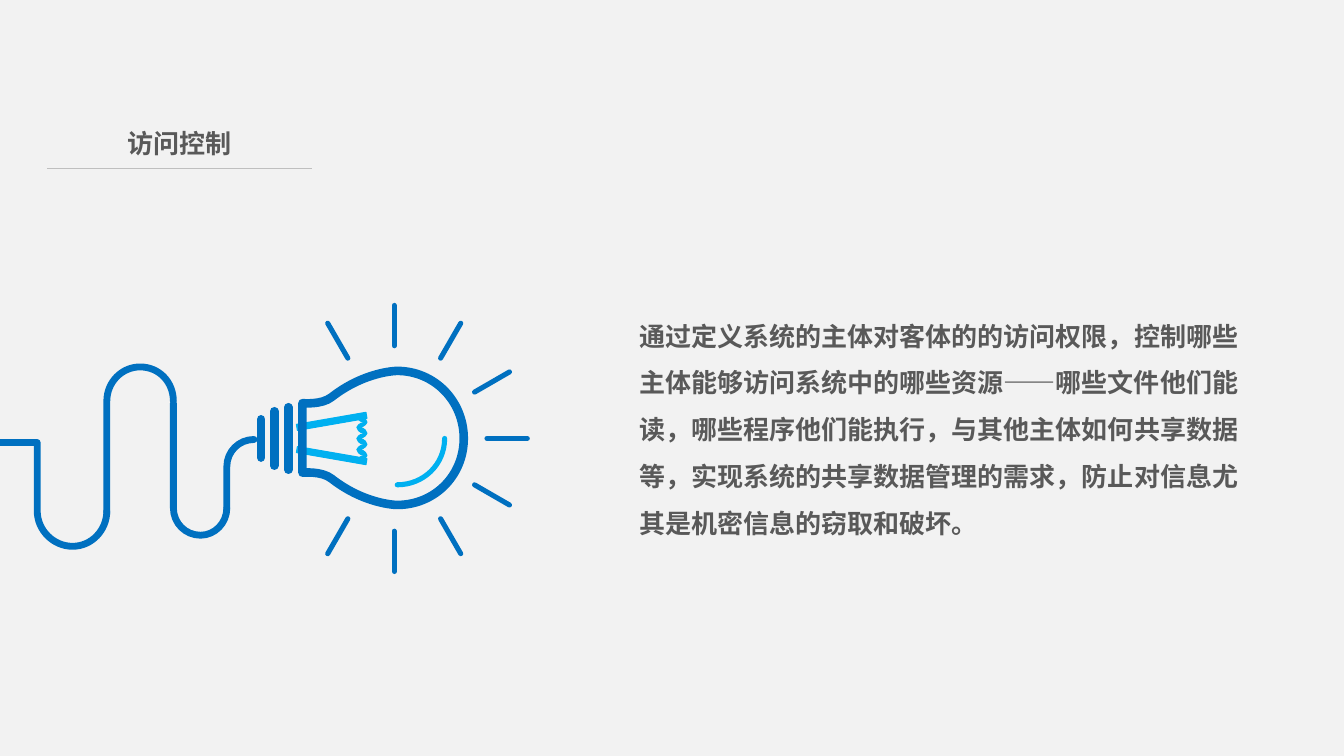
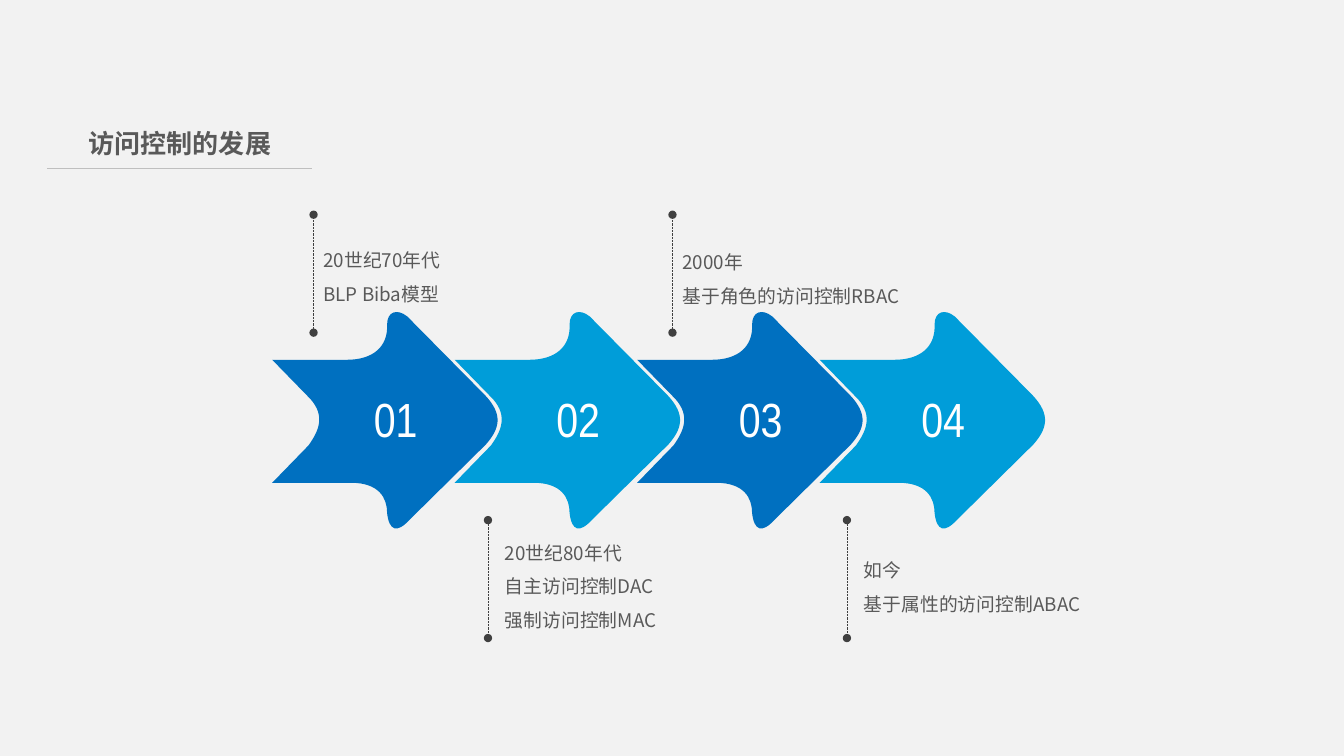
"""Build two slides on access control: its definition and its history."""
from math import cos, radians, sin

from pptx import Presentation
from pptx.dml.color import RGBColor
from pptx.enum.dml import MSO_LINE
from pptx.enum.shapes import MSO_CONNECTOR, MSO_SHAPE
from pptx.enum.text import MSO_ANCHOR, MSO_AUTO_SIZE, PP_ALIGN
from pptx.oxml.ns import qn
from pptx.util import Inches, Pt

STRAIGHT = MSO_CONNECTOR.STRAIGHT
RECT = MSO_SHAPE.RECTANGLE
DOTTED = MSO_LINE.ROUND_DOT
TOP = MSO_ANCHOR.TOP
FIXED = MSO_AUTO_SIZE.NONE
LEFT, CENTER = PP_ALIGN.LEFT, PP_ALIGN.CENTER
SANS, NARROW = "Noto Sans CJK SC", "Arial Narrow"
HEX = {"page": "F2F2F2", "text": "595959", "rule": "BFBFBF", "dot": "404040",
       "blue": "0070C0", "sky": "009DD9", "glow": "00B0F0", "white": "FFFFFF"}
COLOR = {name: RGBColor.from_string(code) for name, code in HEX.items()}


def link(shapes, start, end, color, width):
    """Draw a straight line and return it with its line element."""
    line = shapes.add_connector(STRAIGHT, *map(Inches, start + end))
    line.line.color.rgb = COLOR[color]
    line.line.width = Pt(width)
    props = line.element.spPr
    props.append(props.makeelement(qn("a:effectLst"), {}))
    return line, props.find(qn("a:ln"))


def trace(shapes, steps, fill=None, color=None, width=0, close=False):
    """Draw an outline whose steps are points or six-number Bezier curves."""
    points = [(Inches(step[k]), Inches(step[k + 1]))
              for step in steps for k in range(0, len(step), 2)]
    pen = shapes.build_freeform(*points[0])
    pen.add_line_segments(points[1:], close=close)
    shape = pen.convert_to_shape()
    lines = iter(list(shape.element.iter(qn("a:lnTo"))))
    for step in steps[1:]:
        first = next(lines)
        if len(step) == 6:
            curve = first.makeelement(qn("a:cubicBezTo"), {})
            first.addprevious(curve)
            for line in (first, next(lines), next(lines)):
                curve.append(line[0])
                line.getparent().remove(line)
    shape.shadow.inherit = False
    if fill:
        shape.fill.solid()
        shape.fill.fore_color.rgb = COLOR[fill]
    else:
        shape.fill.background()
    if color:
        shape.line.color.rgb = COLOR[color]
        shape.line.width = Pt(width)
        shape.element.spPr.find(qn("a:ln")).set("cap", "rnd")
    else:
        shape.line.fill.background()
    return shape


prs = Presentation()
prs.slide_width, prs.slide_height = Inches(13.33), Inches(7.5)

texts = []
slides = []
for name, layout, left, wide in (("访问控制", 1, 0.89, 1.78),
                                 ("访问控制的发展", 5, 0.75, 2.07)):
    slide = prs.slides.add_slide(prs.slide_layouts[layout])
    link(slide.shapes, (0.47, 1.67), (3.09, 1.67), "rule", 0.5)
    title = slide.shapes.title
    title.left, title.top = Inches(left), Inches(1.21)
    title.width, title.height = Inches(wide), Inches(0.42)
    frame = title.text_frame
    frame.text = name
    frame.margin_left = frame.margin_right = 0
    texts.append((frame, SANS, 18.6, "text", True, CENTER, 1, True))
    slides.append(slide)
intro, history = slides

page = intro.shapes.add_shape(RECT, 0, 0, prs.slide_width, prs.slide_height)
page.shadow.inherit = False
page.fill.solid()
page.fill.fore_color.rgb = COLOR["page"]
page.line.fill.background()
prs.slide_master.shapes.element.insert(2, page.element)

lamp = intro.shapes.add_group_shape().shapes
hub_x, hub_y = 3.91, 4.35
for angle in range(-120, 121, 30):
    dx, dy = cos(radians(angle)), sin(radians(angle))
    ray, ln = link(lamp, (hub_x + 0.92 * dx, hub_y + 0.92 * dy),
                   (hub_x + 1.32 * dx, hub_y + 1.32 * dy), "blue", 3.63)
    ln.set("cap", "rnd")

trace(lamp, [(3.94, 4.81), (4.2, 4.81, 4.41, 4.61, 4.41, 4.35)],
      color="glow", width=3.63)
for side in (1, -1):
    arm = [(2.94, 0.14), (2.95, 0.08), (3.64, 0.2), (3.63, 0.26)]
    trace(lamp, [(x, hub_y + side * y) for x, y in arm],
          "glow", "glow", 0.75, True)
wave = [(3.54, 4.57)]
for i in range(4):
    y = 4.57 - 0.11 * i
    wave += [(3.54, y - 0.02, 3.57, y - 0.03, 3.58, y - 0.04),
             (3.59, y - 0.04, 3.61, y - 0.05, 3.61, y - 0.05),
             (3.61, y - 0.06, 3.59, y - 0.06, 3.58, y - 0.06),
             (3.57, y - 0.07, 3.54, y - 0.08, 3.54, y - 0.11)]
wave.append((3.57, 4.13))
for i in range(4):
    y = 4.13 + 0.11 * i
    wave += [(3.57, y, 3.59, y + 0.01, 3.6, y + 0.01),
             (3.61, y + 0.02, 3.64, y + 0.03, 3.64, y + 0.06),
             (3.64, y + 0.08, 3.61, y + 0.09, 3.6, y + 0.1),
             (3.59, y + 0.1, 3.57, y + 0.11, 3.57, y + 0.11)]
trace(lamp, wave, "glow", "glow", 0.75, True)
bulb = [(3.94, 3.68), (4.31, 3.68, 4.6, 3.98, 4.6, 4.35),
        (4.6, 4.72, 4.31, 5.01, 3.94, 5.01),
        (3.92, 5.01, 3.61, 5, 3.29, 4.75), (3.19, 4.67, 3, 4.69, 3, 4.69),
        (3, 4), (3, 4, 3.19, 4.02, 3.29, 3.94),
        (3.61, 3.69, 3.92, 3.68, 3.94, 3.68)]
trace(lamp, bulb, color="blue", width=6.13, close=True)
for x, half in ((2.86, 0.31), (2.72, 0.27), (2.59, 0.19)):
    bar, ln = link(lamp, (x, hub_y - half), (x, hub_y + half), "blue", 6.13)
    ln.set("cap", "rnd")
cable = [
    [(2.25, 5.04), (2.25, 5.19, 2.13, 5.31, 1.99, 5.31),
     (1.84, 5.31, 1.72, 5.19, 1.72, 5.04), (1.72, 4)],
    [(1.06, 5.07), (1.06, 5.26, 0.91, 5.42, 0.72, 5.42),
     (0.53, 5.42, 0.37, 5.26, 0.37, 5.07), (0.37, 4.39), (0, 4.39)],
    [(1.06, 5.09), (1.06, 3.98), (1.06, 3.79, 1.21, 3.64, 1.39, 3.64),
     (1.58, 3.64, 1.72, 3.79, 1.72, 3.98)],
    [(2.25, 5.04), (2.25, 4.63), (2.25, 4.48, 2.37, 4.36, 2.52, 4.36)]]
for piece in cable:
    trace(lamp, piece, color="blue", width=4.88)

body = intro.placeholders[1]
body.left, body.top = Inches(6.24), Inches(2.97)
body.width, body.height = Inches(6.38), Inches(2.4)
body.text_frame.text = (
    "通过定义系统的主体对客体的的访问权限，控制哪些主体能够访问系统中的哪些资源"
    "——哪些文件他们能读，哪些程序他们能执行，与其他主体如何共享数据等，"
    "实现系统的共享数据管理的需求，防止对信息尤其是机密信息的窃取和破坏。")
props = body.text_frame.paragraphs[0]._p.get_or_add_pPr()
props.set("marL", "0")
props.set("indent", "0")
props.append(props.makeelement(qn("a:buNone"), {}))
texts.append((body.text_frame, SANS, 18.6, "text", True, LEFT, 1.5, True))

arrow = [(0, 3.57), (0.74, 3.57), (1, 3.57, 1.15, 3.44, 1.14, 3.22),
         (1.14, 3.09, 1.24, 3.06, 1.34, 3.14), (2.11, 3.92),
         (2.3, 4.12, 2.25, 4.26, 2.12, 4.41), (1.36, 5.16),
         (1.24, 5.29, 1.16, 5.27, 1.14, 5.09),
         (1.14, 4.94, 1.06, 4.79, 0.78, 4.79), (0, 4.79), (0.36, 4.42),
         (0.46, 4.28, 0.53, 4.13, 0.38, 3.96)]
for i in reversed(range(4)):
    left = 2.7 + 1.81 * i
    color = ("blue", "sky")[i % 2]
    group = history.shapes.add_group_shape().shapes
    steps = [tuple(v + left if k % 2 == 0 else v for k, v in enumerate(step))
             for step in arrow]
    trace(group, steps, color, close=True)
    plate = group.add_shape(RECT, *map(Inches, (left + 0.91, 3.82, 0.7, 0.68)))
    plate.shadow.inherit = False
    plate.fill.solid()
    plate.fill.fore_color.rgb = COLOR[color]
    plate.line.fill.background()
    plate.text_frame.text = f"{i + 1:02}"
    texts.append((plate.text_frame, NARROW, 34.2, "white", False, LEFT, 1,
                  False))

stages = [
    (3.11, 2.13, 3.11, 2.31, "20世纪70年代\nBLP Biba模型"),
    (4.84, 5.16, 4.91, 5.21, "20世纪80年代\n自主访问控制DAC\n强制访问控制MAC"),
    (6.67, 2.13, 6.67, 2.33, "2000年\n基于角色的访问控制RBAC"),
    (8.4, 5.16, 8.47, 5.38, "如今\n基于属性的访问控制ABAC")]
for x, y, left, top, words in stages:
    stem, ln = link(history.shapes, (x, y + 1.17), (x, y), "dot", 0.5)
    stem.line.dash_style = DOTTED
    for tag in ("a:headEnd", "a:tailEnd"):
        ln.append(ln.makeelement(qn(tag), {"type": "oval"}))
    high = 0.06 + 0.34 * len(words.split("\n"))
    box = history.shapes.add_textbox(*map(Inches, (left, top, 2.53, high)))
    box.text_frame.text = words
    texts.append((box.text_frame, SANS, 13.4, "text", False, LEFT, 1.5, True))

for frame, face, size, color, bold, align, space, wrap in texts:
    frame.auto_size = FIXED
    frame.word_wrap = wrap
    frame.vertical_anchor = TOP
    for para in frame.paragraphs:
        para.alignment = align
        para.line_spacing = space
        para.space_before = Pt(0)
        for run in para.runs:
            run.font.name = face
            run.font.size = Pt(size)
            run.font.bold = bold
            run.font.color.rgb = COLOR[color]
            props = run.font._element
            props.append(props.makeelement(qn("a:ea"), {"typeface": face}))

prs.save("out.pptx")
